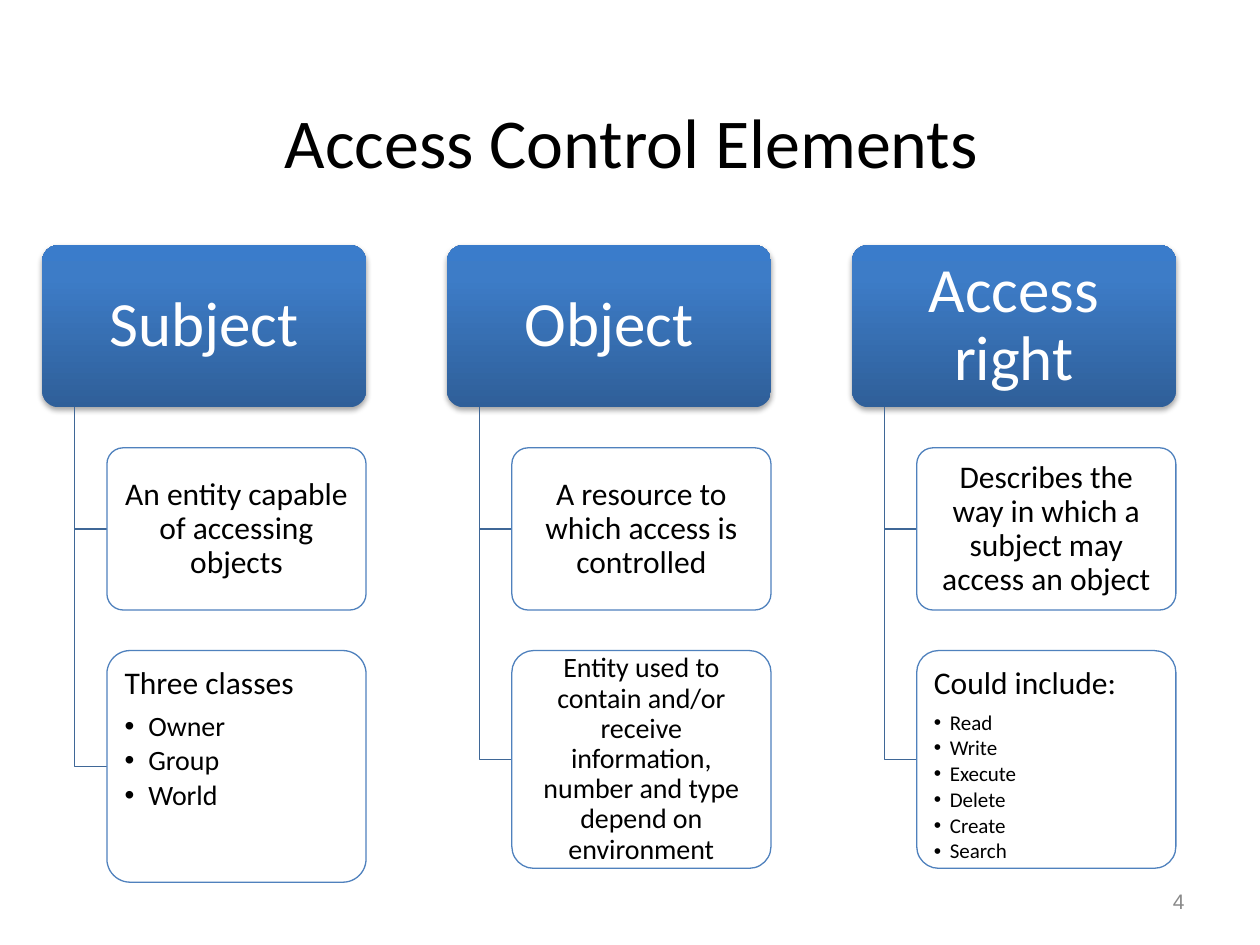
from copy import deepcopy
from dataclasses import dataclass

from lxml.etree import SubElement
from pptx import Presentation
from pptx.dml.color import RGBColor
from pptx.enum.shapes import MSO_SHAPE as Preset
from pptx.enum.text import MSO_ANCHOR as Anchor, PP_ALIGN as Align
from pptx.oxml.ns import qn
from pptx.util import Cm, Pt

TITLE = "Access Control Elements"
SLIDE_NUMBER = "4"

# Each card: text, type size, height in cm, bullet items, bullet size, bullet indent in cm
CARD_HEIGHT = 3.27
COLUMNS = [
    ("Subject", [
        ("An entity capable of accessing objects", 18, CARD_HEIGHT, [], 0, 0),
        ("Three classes", 18, 4.67, ["Owner", "Group", "World"], 16, 0.48),
    ]),
    ("Object", [
        ("A resource to which access is controlled", 18, CARD_HEIGHT, [], 0, 0),
        ("Entity used to contain and/or receive information, "
         "number and type depend on environment", 16, 4.39, [], 0, 0),
    ]),
    ("Access right", [
        ("Describes the way in which a subject may access an object",
         18, CARD_HEIGHT, [], 0, 0),
        ("Could include:", 18, 4.39,
         ["Read", "Write", "Execute", "Delete", "Create", "Search"], 12, 0.32),
    ]),
]

LEFT, TOP = 0.85, 4.94
HEADER_WIDTH, HEADER_HEIGHT = 6.53, 3.27
COLUMN_PITCH = HEADER_WIDTH * 1.25
GAP = HEADER_HEIGHT / 4
TRUNK_INDENT = HEADER_WIDTH * 0.1
CARD_INDENT = HEADER_WIDTH * 0.2


@dataclass(frozen=True)
class Theme:
    font: str = "Calibri"
    number_font: str = "Arial"
    title_size: int = 40
    header_size: int = 36
    number_size: int = 12
    line_width: float = 0.75
    text: str = "000000"
    light: str = "FFFFFF"
    number: str = "898989"
    card_line: str = "4F81BD"
    branch: str = "3F6797"
    header_stops: tuple = ((0, "2F5F99"), (0.8, "3D7CC7"), (1, "3A7CCB"))


THEME = Theme()


def color(value):
    return RGBColor.from_string(value)


def set_frame(shape, horizontal, vertical, anchor):
    frame = shape.text_frame
    frame.word_wrap = True
    frame.vertical_anchor = anchor
    frame.margin_left = frame.margin_right = Cm(horizontal)
    frame.margin_top = frame.margin_bottom = Cm(vertical)
    return frame


def write(paragraph, text, size, ink, align, font=THEME.font, spacing=0.9):
    paragraph.text = text
    paragraph.alignment = align
    paragraph.line_spacing = spacing
    paragraph.font.name = font
    paragraph.font.size = Pt(size)
    paragraph.font.color.rgb = color(ink)


def add_bullet(paragraph, indent):
    properties = paragraph._p.get_or_add_pPr()
    properties.set("marL", str(Cm(indent)))
    properties.set("indent", str(-Cm(indent)))
    SubElement(properties, qn("a:buFont")).set("typeface", "Arial")
    bullet = SubElement(properties, qn("a:buChar"))
    bullet.set("char", "•")
    # Bullet marks must come before the default run properties.
    properties.append(properties.find(qn("a:defRPr")))


def add_label(slide, box, text, size, ink, align, font=THEME.font):
    label = slide.shapes.add_textbox(*map(Cm, box))
    frame = set_frame(label, 0.25, 0.13, Anchor.MIDDLE)
    write(frame.paragraphs[0], text, size, ink, align, font, 1.0)


def add_rounded(slide, left, top, width, height):
    shape = slide.shapes.add_shape(
        Preset.ROUNDED_RECTANGLE, Cm(left), Cm(top), Cm(width), Cm(height))
    shape.adjustments[0] = 0.1
    shape.shadow.inherit = False
    return shape


def add_header(slide, left, text):
    header = add_rounded(slide, left, TOP, HEADER_WIDTH, HEADER_HEIGHT)
    header.line.fill.background()
    header.fill.gradient()
    header.fill.gradient_angle = 90
    properties = header._element.spPr
    stops = properties.find(qn("a:gradFill")).find(qn("a:gsLst"))
    stops.append(deepcopy(stops[-1]))
    for stop, (position, value) in zip(header.fill.gradient_stops, THEME.header_stops):
        stop.position = position
        stop.color.rgb = color(value)

    shadow = SubElement(properties.find(qn("a:effectLst")), qn("a:outerShdw"))
    for name, value in (("blurRad", Pt(3.1)), ("dist", Pt(1.8)),
                        ("dir", 90 * 60000), ("rotWithShape", 0)):
        shadow.set(name, str(int(value)))
    shade = SubElement(shadow, qn("a:srgbClr"))
    shade.set("val", THEME.text)
    SubElement(shade, qn("a:alpha")).set("val", "35000")

    frame = set_frame(header, 0.28, 0.23, Anchor.MIDDLE)
    write(frame.paragraphs[0], text, THEME.header_size, THEME.light, Align.CENTER)


def add_branch(slide, left, card_left, middle):
    """Draw the elbow from a header's bottom edge to the middle of a card's left side."""
    bottom = TOP + HEADER_HEIGHT
    builder = slide.shapes.build_freeform(Cm(left), Cm(bottom))
    builder.add_line_segments(
        [(Cm(left), Cm(middle)), (Cm(card_left), Cm(middle))], close=False)
    branch = builder.convert_to_shape()
    branch.shadow.inherit = False
    branch.fill.background()
    branch.line.color.rgb = color(THEME.branch)
    branch.line.width = Pt(THEME.line_width)


def add_card(slide, left, top, text, size, height, items, item_size, indent):
    card = add_rounded(slide, left, top, HEADER_WIDTH - CARD_INDENT, height)
    card.fill.solid()
    card.fill.fore_color.rgb = color(THEME.light)
    card.line.color.rgb = color(THEME.card_line)
    card.line.width = Pt(THEME.line_width)

    frame = set_frame(card, 0.22, 0.2, Anchor.TOP if items else Anchor.MIDDLE)
    lead = frame.paragraphs[0]
    write(lead, text, size, THEME.text, Align.LEFT if items else Align.CENTER)
    if items:
        lead.space_after = Pt(size * 0.35)
    for item in items:
        paragraph = frame.add_paragraph()
        paragraph.level = 1
        write(paragraph, item, item_size, THEME.text, Align.LEFT)
        paragraph.space_after = Pt(item_size * 0.15)
        add_bullet(paragraph, indent)


def main():
    presentation = Presentation()
    presentation.slide_width, presentation.slide_height = Cm(25.4), Cm(19.05)
    slide = presentation.slides.add_slide(presentation.slide_layouts[6])

    add_label(slide, (1.3, 0.91, 22.86, 3.84), TITLE,
              THEME.title_size, THEME.text, Align.CENTER)
    for index, (heading, cards) in enumerate(COLUMNS):
        left = LEFT + index * COLUMN_PITCH
        card_left = left + CARD_INDENT
        add_header(slide, left, heading)
        top = TOP + HEADER_HEIGHT + GAP
        for card in cards:
            height = card[2]
            add_branch(slide, left + TRUNK_INDENT, card_left, top + height / 2)
            add_card(slide, card_left, top, *card)
            top += height + GAP
    add_label(slide, (18.21, 17.65, 5.92, 1.02), SLIDE_NUMBER,
              THEME.number_size, THEME.number, Align.RIGHT, THEME.number_font)

    presentation.save("out.pptx")


if __name__ == "__main__":
    main()
